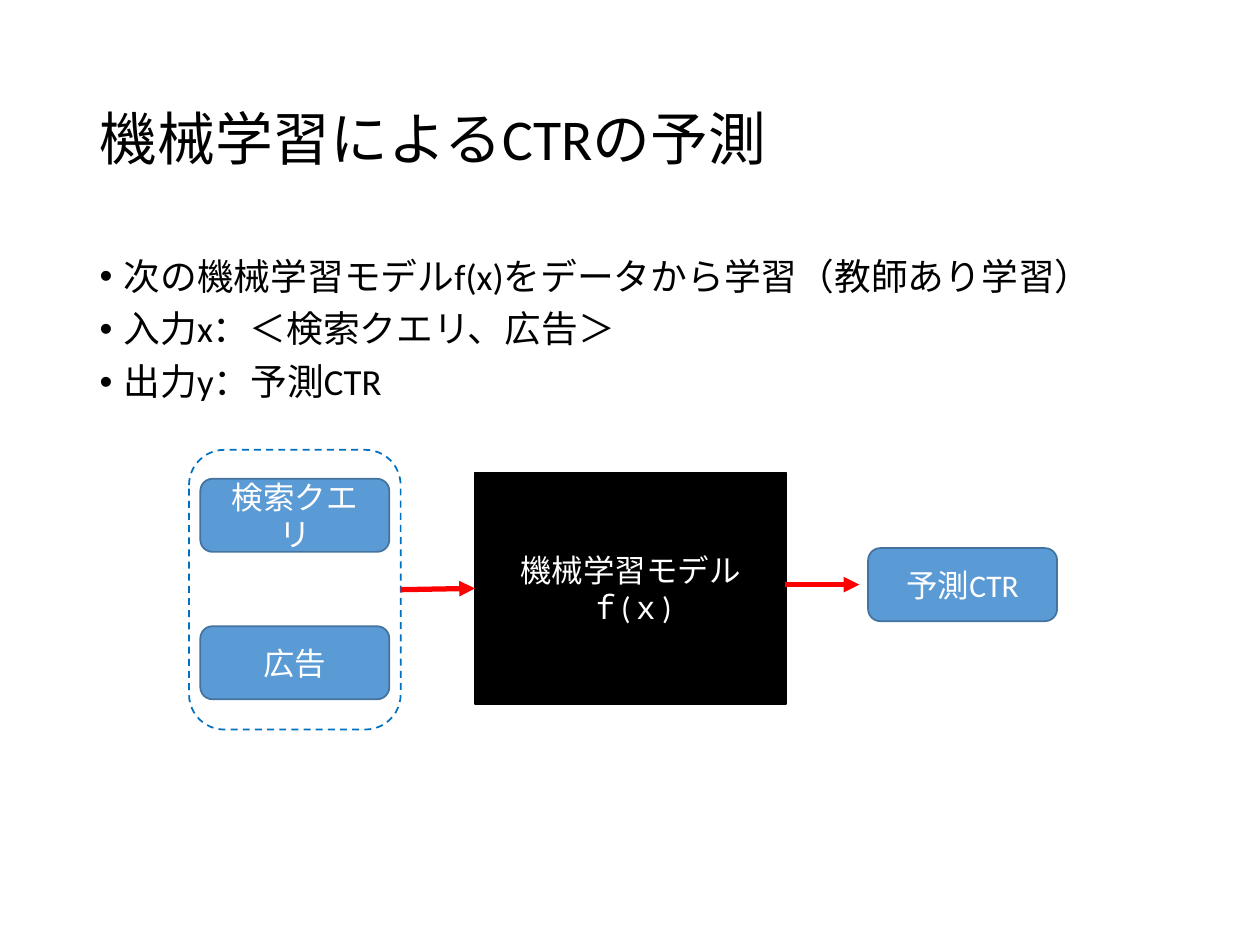
from pptx import Presentation
from pptx import util as u
from pptx.dml.color import RGBColor
from pptx.enum import dml, shapes, text
from pptx.oxml.ns import qn
from lxml import etree

COLUMNS, ROWS = 100, 75  # grid cells of 0.1 inch


def colour(value):
    return RGBColor.from_string(value)


def add_child(parent, tag, **attributes):
    return etree.SubElement(parent, qn(tag), attributes)


class SlideBuilder:
    """Holds the style and the current slide; lengths are grid columns and rows."""

    font = "Calibri"
    ink, paper = "000000", "FFFFFF"
    node_fill, node_line = "5B9BD5", "43739E"
    group_line, arrow_line = "0070C0", "FF0000"

    def __init__(self, deck):
        self.deck = deck
        self.page = deck.slides.add_slide(deck.slide_layouts[1])

    def x(self, columns):
        return round(self.deck.slide_width * columns / COLUMNS)

    def y(self, rows):
        return round(self.deck.slide_height * rows / ROWS)

    def area(self, left, top, width, height):
        return self.x(left), self.y(top), self.x(width), self.y(height)

    def add_lines(self, frame, lines, size, ink, align):
        """Add one paragraph per line and return the paragraphs."""
        for index, line in enumerate(lines):
            para = frame.add_paragraph() if index else frame.paragraphs[0]
            para.alignment = align
            span = para.add_run()
            span.text = line
            span.font.name = self.font
            span.font.size = u.Pt(size)
            span.font.color.rgb = colour(ink)
        return frame.paragraphs

    def fill_placeholder(self, box, area, lines, size, anchor):
        box.left, box.top, box.width, box.height = self.area(*area)
        frame = box.text_frame
        frame.auto_size = text.MSO_AUTO_SIZE.NONE
        frame.vertical_anchor = anchor
        paragraphs = self.add_lines(frame, lines, size, self.ink, text.PP_ALIGN.LEFT)
        for para in paragraphs:
            para.line_spacing = 0.9
        return paragraphs

    def title(self, area, line):
        self.fill_placeholder(self.page.shapes.title, area, [line], 33,
                              text.MSO_ANCHOR.MIDDLE)

    def bullets(self, area, lines):
        box = self.page.placeholders[1]
        indent = u.Inches(0.19)
        for para in self.fill_placeholder(box, area, lines, 21, text.MSO_ANCHOR.TOP):
            para.space_before = u.Pt(7.5)
            properties = para._p.get_or_add_pPr()
            properties.set("marL", str(indent))
            properties.set("indent", str(-indent))
            add_child(properties, "a:buFont", typeface="Arial")
            add_child(properties, "a:buChar", char="•")

    def shape(self, kind, area, fill, line):
        box = self.page.shapes.add_shape(kind, *self.area(*area))
        box.shadow.inherit = False
        if fill:
            box.fill.solid()
            box.fill.fore_color.rgb = colour(fill)
        else:
            box.fill.background()
        box.line.color.rgb = colour(line)
        box.line.width = u.Pt(1)
        return box

    def label(self, box, lines):
        frame = box.text_frame
        frame.word_wrap = True
        frame.vertical_anchor = text.MSO_ANCHOR.MIDDLE
        self.add_lines(frame, lines, 18, self.paper, text.PP_ALIGN.CENTER)

    def node(self, left, top, line):
        box = self.shape(shapes.MSO_SHAPE.ROUNDED_RECTANGLE, (left, top, 15, 5.8),
                         self.node_fill, self.node_line)
        self.label(box, [line])

    def model(self, area, lines):
        box = self.shape(shapes.MSO_SHAPE.RECTANGLE, area, self.ink, self.ink)
        self.label(box, lines)
        return box

    def group_outline(self, area):
        box = self.shape(shapes.MSO_SHAPE.ROUNDED_RECTANGLE, area, None, self.group_line)
        box.line.dash_style = dml.MSO_LINE.DASH
        return box

    def arrow(self, left, right, row):
        line = self.page.shapes.add_connector(
            shapes.MSO_CONNECTOR.STRAIGHT,
            self.x(left), self.y(row), self.x(right), self.y(row))
        line.line.color.rgb = colour(self.arrow_line)
        line.line.width = u.Pt(3)
        add_child(line.line._get_or_add_ln(), "a:tailEnd", type="triangle")
        add_child(line._element.spPr, "a:effectLst")
        return line


def main():
    deck = Presentation()
    deck.slide_width, deck.slide_height = u.Inches(10), u.Inches(7.5)
    slide = SlideBuilder(deck)

    slide.title((6.9, 4, 86.2, 14.5), "機械学習によるCTRの予測")
    slide.bullets((6.9, 20, 86.2, 47.6), [
        "次の機械学習モデルf(x)をデータから学習（教師あり学習）",
        "入力x：＜検索クエリ、広告＞",
        "出力y：予測CTR",
    ])

    model = slide.model((37.7, 37.5, 24.7, 18.4), ["機械学習モデル", "ｆ(ｘ)"])
    for top, name in ((38, "検索クエリ"), (49.7, "広告")):
        slide.node(15.9, top, name)
    inputs = slide.group_outline((15, 35.7, 16.8, 22.2))

    to_model = slide.arrow(31.8, 37.7, 46.8)
    to_model.begin_connect(inputs, 3)
    to_model.end_connect(model, 1)
    slide.arrow(62.3, 68.2, 46.4)
    slide.node(68.9, 43.5, "予測CTR")

    deck.save("out.pptx")


if __name__ == "__main__":
    main()
